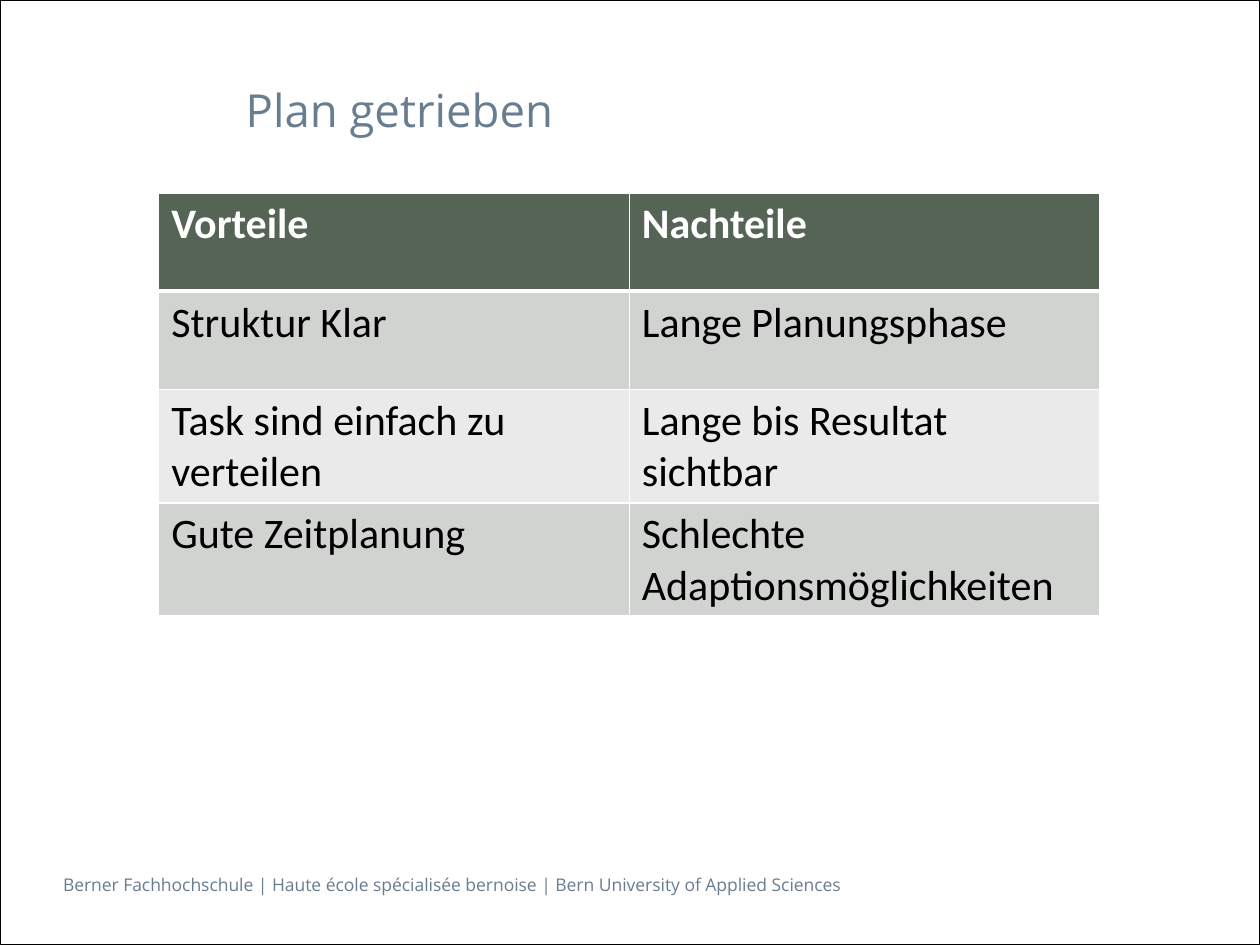
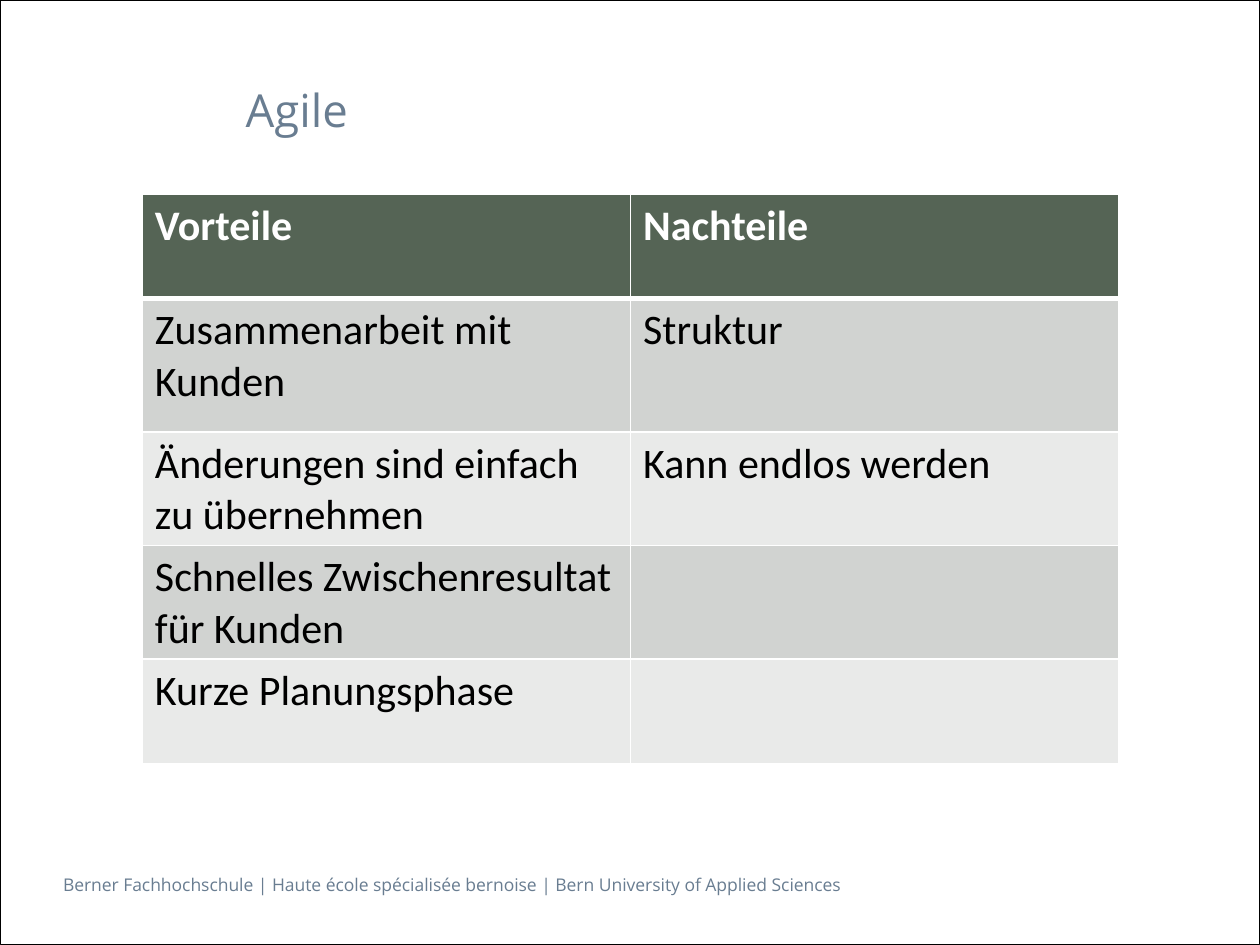
from lxml import etree
from pptx import Presentation
from pptx.dml.color import RGBColor
from pptx.enum.shapes import MSO_SHAPE
from pptx.enum.text import MSO_ANCHOR, PP_ALIGN
from pptx.oxml.ns import qn
from pptx.util import Inches, Pt

RECT = MSO_SHAPE.RECTANGLE
TOP = MSO_ANCHOR.TOP
LEFT = PP_ALIGN.LEFT

SLATE = RGBColor(0x69, 0x7D, 0x91)
GREEN = RGBColor(0x55, 0x64, 0x55)
BAND_DARK = RGBColor(0xD1, 0xD3, 0xD1)
BAND_LIGHT = RGBColor(0xE9, 0xEA, 0xE9)
WHITE = RGBColor(0xFF, 0xFF, 0xFF)
BLACK = RGBColor(0, 0, 0)

TITLE_FONT = "Open Sans"
TABLE_FONT = "Calibri"
TITLE_ONLY = 5
FOOTER = ("Berner Fachhochschule | Haute école spécialisée bernoise | "
          "Bern University of Applied Sciences")
HEADER = ("Vorteile", "Nachteile")

PLAN_ROWS = [
    ("Struktur Klar", "Lange Planungsphase"),
    ("Task sind einfach zu verteilen", "Lange bis Resultat sichtbar"),
    ("Gute Zeitplanung", "Schlechte Adaptionsmöglichkeiten"),
]
AGILE_ROWS = [
    ("Zusammenarbeit mit Kunden", "Struktur"),
    ("Änderungen sind einfach zu übernehmen", "Kann endlos werden"),
    ("Schnelles Zwischenresultat für Kunden", ""),
    ("Kurze Planungsphase", ""),
]


def format_text(tf, font, size, color, bold=False):
    for p in tf.paragraphs:
        p.alignment = LEFT
        for r in p.runs:
            r.font.name = font
            r.font.size = Pt(size)
            r.font.bold = bold
            r.font.color.rgb = color


def set_line_box(tf):
    """Shared insets of the title and the footer."""
    tf.margin_left = tf.margin_right = 0
    tf.margin_top = tf.margin_bottom = Inches(0.05)
    tf.vertical_anchor = TOP
    tf.word_wrap = True


def add_footer(slide):
    box = slide.shapes.add_textbox(Inches(0.5), Inches(6.89), Inches(7.31), Inches(0.27))
    set_line_box(box.text_frame)
    box.text_frame.text = FOOTER
    format_text(box.text_frame, TITLE_FONT, 10, SLATE)


def add_frame(slide, prs):
    sp = slide.shapes.add_shape(RECT, 0, 0, prs.slide_width, prs.slide_height)
    sp.shadow.inherit = False
    sp.fill.background()
    sp.line.color.rgb = BLACK
    sp.line.width = Pt(0.5)


def set_title(slide, text):
    title = slide.shapes.title
    title.left, title.top = Inches(1.95), Inches(0.6)
    title.width, title.height = Inches(7.67), Inches(0.59)
    set_line_box(title.text_frame)
    title.text_frame.text = text
    format_text(title.text_frame, TITLE_FONT, 26, SLATE)


def set_borders(cell, top=1, bottom=1):
    """White rules around a cell, widths in points."""
    tc_pr = cell._tc.get_or_add_tcPr()
    widths = {"a:lnL": 1, "a:lnR": 1, "a:lnT": top, "a:lnB": bottom}
    for i, (tag, width) in enumerate(widths.items()):
        ln = etree.Element(qn(tag), w=str(Pt(width)))
        fill = etree.SubElement(ln, qn("a:solidFill"))
        etree.SubElement(fill, qn("a:srgbClr"), val=str(WHITE))
        tc_pr.insert(i, ln)


def add_comparison(slide, left, top, width, body, row_heights):
    rows = [HEADER] + body
    table = slide.shapes.add_table(
        len(rows), len(HEADER), Inches(left), Inches(top),
        Inches(width), Inches(sum(row_heights))).table
    for row, height in zip(table.rows, row_heights):
        row.height = Inches(height)
    for i, texts in enumerate(rows):
        is_header = i == 0
        band = GREEN if is_header else BAND_DARK if i % 2 else BAND_LIGHT
        for j, text in enumerate(texts):
            cell = table.cell(i, j)
            cell.fill.solid()
            cell.fill.fore_color.rgb = band
            set_borders(cell, top=3 if i == 1 else 1, bottom=3 if is_header else 1)
            if text:
                cell.text_frame.text = text
                format_text(cell.text_frame, TABLE_FONT, 24,
                            WHITE if is_header else BLACK, is_header)


def add_slide(prs, title):
    slide = prs.slides.add_slide(prs.slide_layouts[TITLE_ONLY])
    add_footer(slide)
    add_frame(slide, prs)
    set_title(slide, title)
    return slide


def main():
    prs = Presentation()
    prs.slide_width, prs.slide_height = Inches(10), Inches(7.5)

    # Plan-driven approach
    slide = add_slide(prs, "Plan getrieben")
    add_comparison(slide, 1.26, 1.53, 7.47, PLAN_ROWS, [0.78] * 4)

    # Agile approach
    slide = add_slide(prs, "Agile")
    add_comparison(slide, 1.13, 1.54, 7.75, AGILE_ROWS, [0.83, 1.06] + [0.83] * 3)

    prs.save("out.pptx")


if __name__ == "__main__":
    main()
